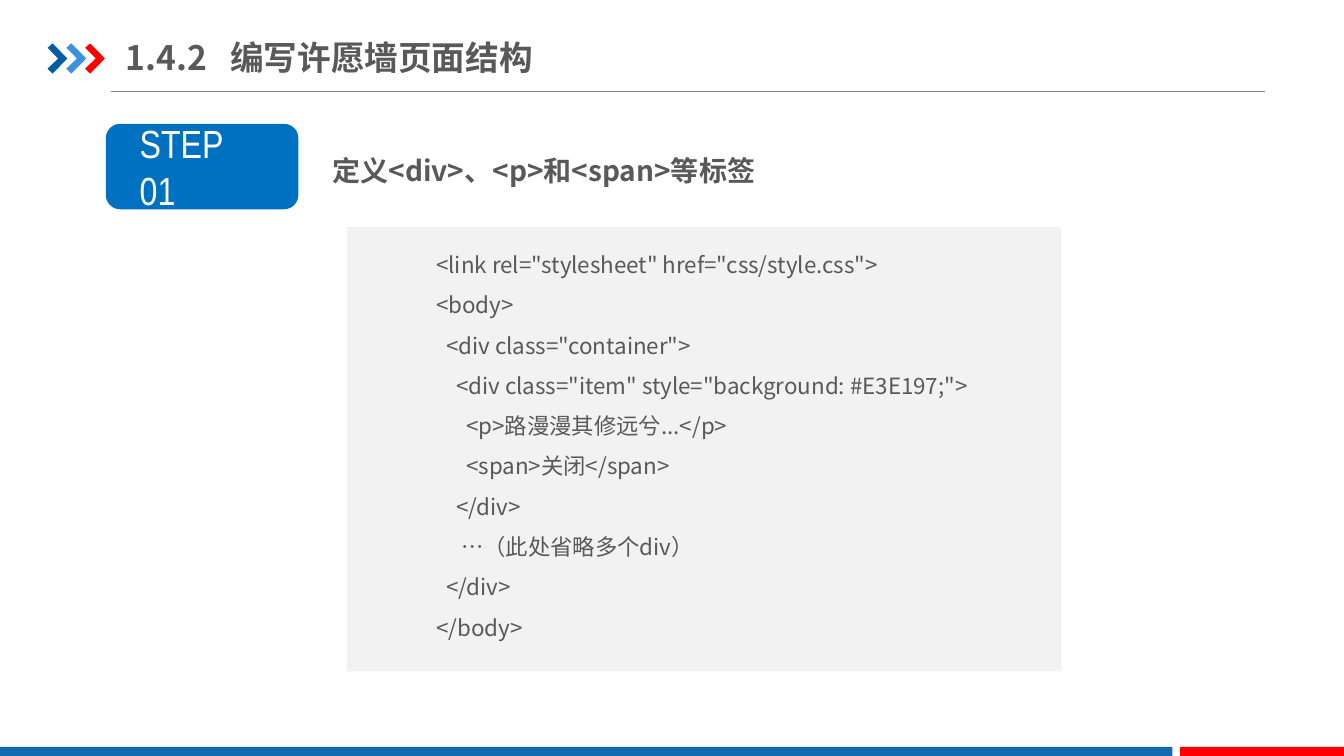
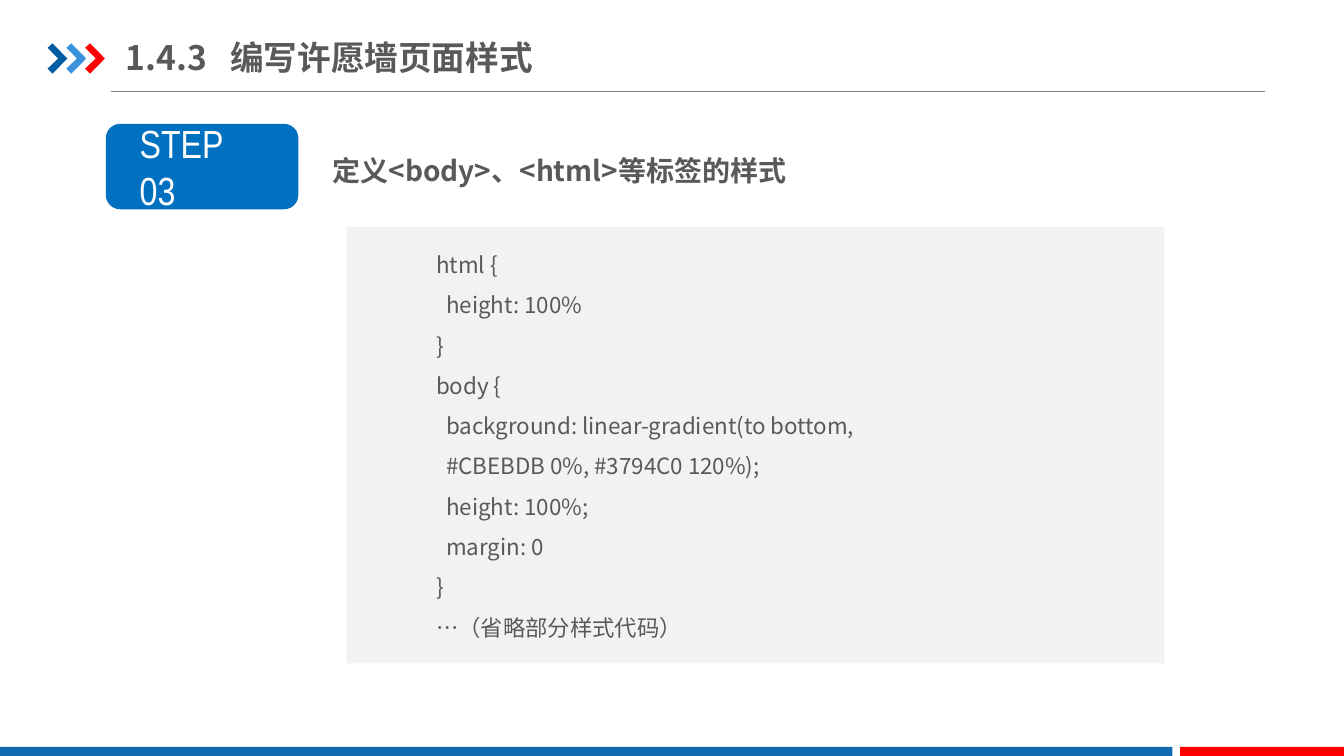
from lxml.etree import SubElement
from pptx import Presentation
from pptx.dml.color import RGBColor
from pptx.enum.shapes import MSO_CONNECTOR, MSO_SHAPE
from pptx.enum.text import MSO_ANCHOR, MSO_AUTO_SIZE, PP_ALIGN
from pptx.oxml.ns import qn
from pptx.util import Pt

# Shared look
BAND_BLUE = RGBColor(0x13, 0x69, 0xB2)
RED = RGBColor(0xFF, 0x00, 0x00)
DARK_BLUE = RGBColor(0x00, 0x5D, 0xA2)
LIGHT_BLUE = RGBColor(0x39, 0x92, 0xDB)
STEP_BLUE = RGBColor(0x00, 0x70, 0xC0)
RULE_GREY = RGBColor(0x80, 0x80, 0x80)
PANEL_GREY = RGBColor(0xF2, 0xF2, 0xF2)
TEXT_GREY = RGBColor(0x59, 0x59, 0x59)
WHITE = RGBColor(0xFF, 0xFF, 0xFF)
TEXT_FONT = "Noto Sans CJK SC"
STEP_FONT = "Arial Narrow"

CHEVRON = [(0, 3.2), (3.5, 0), (14.2, 10.8), (3.5, 21.6), (0, 18), (7.6, 10.8)]
CHEVRON_STEP = 13.4

SLIDES = [
    {
        "title": "1.4.2\t编写许愿墙页面结构",
        "step": "STEP\t01",
        "heading": "定义<div>、<p>和<span>等标签",
        "panel_size": (510.5, 317.5),
        "code": """<link rel="stylesheet" href="css/style.css">
<body>
  <div class="container">
    <div class="item" style="background: #E3E197;">
      <p>路漫漫其修远兮...</p>
      <span>关闭</span>
    </div>
     …（此处省略多个div）
  </div>
</body>""",
    },
    {
        "title": "1.4.3\t编写许愿墙页面样式",
        "step": "STEP\t03",
        "heading": "定义<body>、<html>等标签的样式",
        "panel_size": (584, 311.8),
        "code": """html {
  height: 100%
}
body {
  background: linear-gradient(to bottom,
  #CBEBDB 0%, #3794C0 120%);
  height: 100%;
  margin: 0
}
…（省略部分样式代码）""",
    },
]


def write(frame, text, size, color=TEXT_GREY, bold=False, font=TEXT_FONT,
          spacing=1.0, tab=None, anchor=MSO_ANCHOR.TOP, insets=(7.2, 3.6)):
    """Fill a text frame, one paragraph for each line of text."""
    frame.word_wrap = True
    frame.auto_size = MSO_AUTO_SIZE.NONE
    frame.vertical_anchor = anchor
    frame.margin_left = frame.margin_right = Pt(insets[0])
    frame.margin_top = frame.margin_bottom = Pt(insets[1])
    for number, line in enumerate(text.split("\n")):
        para = frame.add_paragraph() if number else frame.paragraphs[0]
        if tab:
            properties = para._p.get_or_add_pPr()
            stops = SubElement(properties, qn("a:tabLst"))
            SubElement(stops, qn("a:tab"), pos=str(Pt(tab)), algn="l")
        para.alignment = PP_ALIGN.LEFT
        para.line_spacing = spacing
        span = para.add_run()
        span.text = line
        span.font.size = Pt(size)
        span.font.bold = bold
        span.font.name = font
        span.font.color.rgb = color
        SubElement(span.font._element, qn("a:ea"), typeface=font)


def paint(shape, color):
    shape.shadow.inherit = False
    shape.fill.solid()
    shape.fill.fore_color.rgb = color
    shape.line.fill.background()
    return shape


def add_block(page, kind, left, top, width, height, color):
    block = page.shapes.add_shape(kind, Pt(left), Pt(top), Pt(width), Pt(height))
    return paint(block, color)


def add_text(page, text, left, top, width, height, **style):
    box = page.shapes.add_textbox(Pt(left), Pt(top), Pt(width), Pt(height))
    write(box.text_frame, text, **style)


def add_chevron(page, left, top, color):
    points = [(Pt(left + x), Pt(top + y)) for x, y in CHEVRON]
    builder = page.shapes.build_freeform(*points[0])
    builder.add_line_segments(points[1:], close=True)
    return paint(builder.convert_to_shape(), color)


def add_rule(page, left, right, top):
    rule = page.shapes.add_connector(
        MSO_CONNECTOR.STRAIGHT, Pt(left), Pt(top), Pt(right), Pt(top))
    rule.line.color.rgb = RULE_GREY
    rule.line.width = Pt(0.75)
    SubElement(rule._element.spPr, qn("a:effectLst"))
    return rule


def furnish_layout(layout, page):
    """Draw the bands, rule and chevrons, then hand them to the layout."""
    for holder in list(layout.placeholders):
        if holder.placeholder_format.idx:
            holder.element.getparent().remove(holder.element)
    parts = [
        add_block(page, MSO_SHAPE.RECTANGLE, 0, 533.5, 837.5, 6.5, BAND_BLUE),
        add_block(page, MSO_SHAPE.RECTANGLE, 843, 533.5, 117, 6.5, RED),
        add_rule(page, 79.2, 903.6, 65.4),
    ]
    for number, color in enumerate((DARK_BLUE, LIGHT_BLUE, RED)):
        parts.append(add_chevron(page, 34 + number * CHEVRON_STEP, 31, color))
    for part in parts:
        layout.shapes.element.append(part.element)


def set_title(page, text):
    title = page.shapes.title
    title.left, title.top, title.width, title.height = (
        Pt(90), Pt(21), Pt(307), Pt(39.6))
    write(title.text_frame, text, size=24, bold=True, tab=74.5,
          anchor=MSO_ANCHOR.MIDDLE, insets=(0, 5))


def add_step(page, left, top, step, heading):
    """Place the step badge and the heading to its right."""
    badge = add_block(page, MSO_SHAPE.ROUNDED_RECTANGLE,
                      left, top, 137.5, 61, STEP_BLUE)
    write(badge.text_frame, step, size=28, color=WHITE, font=STEP_FONT,
          tab=72, anchor=MSO_ANCHOR.MIDDLE, insets=(21.2, 3.6))
    add_text(page, heading, left + 154.8, top + 5.7, 568, 39.6,
             size=20, bold=True, spacing=1.5)


def add_code(page, left, top, size, code):
    """Place the grey panel and the code listing on it."""
    add_block(page, MSO_SHAPE.RECTANGLE, left, top, *size, PANEL_GREY)
    add_text(page, code, left + 56.8, top + 4.3, 517.7, 298,
             size=16, spacing=1.5)


def main():
    deck = Presentation()
    deck.slide_width, deck.slide_height = Pt(960), Pt(540)
    layout = deck.slide_layouts[5]
    for number, content in enumerate(SLIDES):
        page = deck.slides.add_slide(layout)
        if number == 0:
            furnish_layout(layout, page)
        set_title(page, content["title"])
        add_step(page, 75.6, 88.5, content["step"], content["heading"])
        add_code(page, 247.7, 162, content["panel_size"], content["code"])
    deck.save("out.pptx")


if __name__ == "__main__":
    main()
